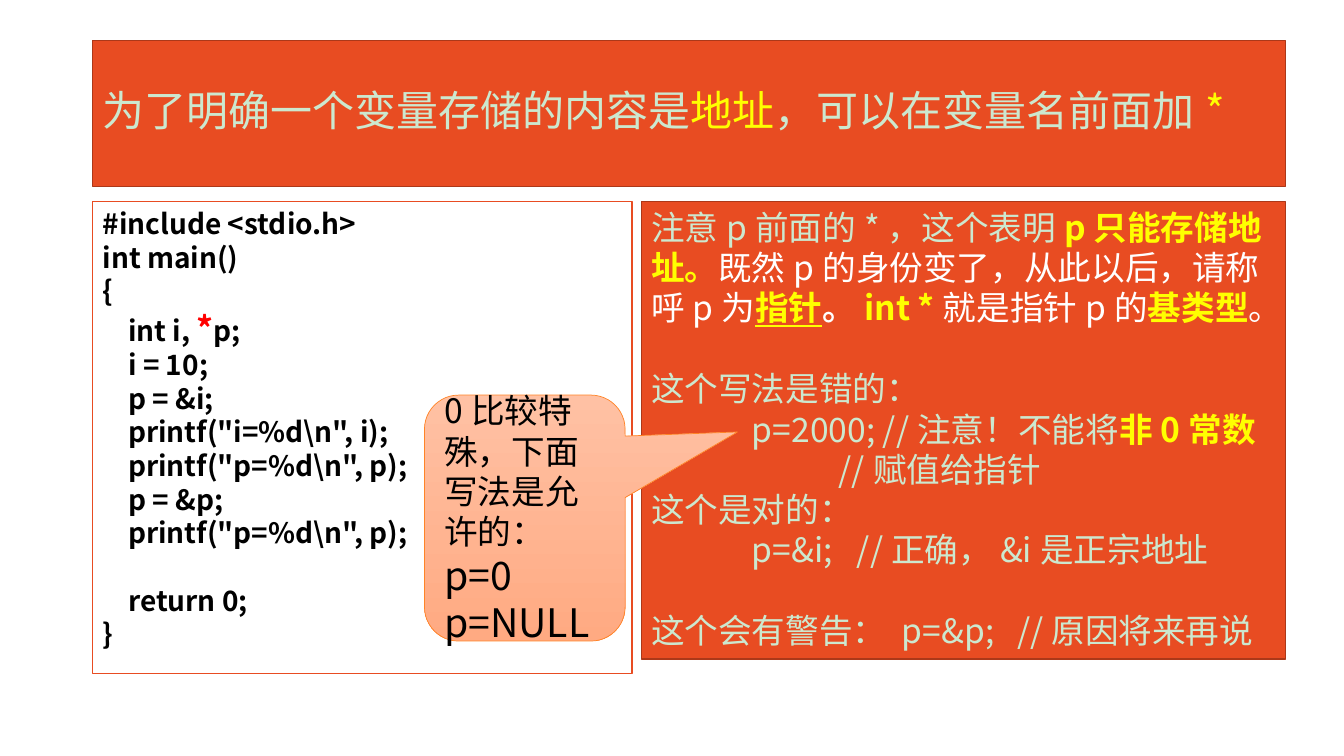
from pptx import Presentation
from pptx.dml.color import RGBColor
from pptx.enum.shapes import MSO_SHAPE as Shape
from pptx.enum.text import MSO_ANCHOR as Anchor, PP_ALIGN as Align
from pptx.oxml.ns import qn
from pptx.util import Inches, Pt
from lxml import etree

FONT = "Noto Sans CJK SC"
COLORS = {
    "orange": "E84C22", "rust": "AC3819", "mint": "CCE8CF", "white": "FFFFFF",
    "yellow": "FFFF00", "red": "FF0000", "black": "000000",
    "peach": "FFC1A4", "salmon": "FFAA82", "amber": "FF8427",
}


def color(name):
    return RGBColor.from_string(COLORS[name])


def write(frame, lines, size, default, bold=False):
    """Fill a frame; a line is (runs, options), a run is (text, run options)."""
    for index, (runs, options) in enumerate(lines):
        paragraph = frame.paragraphs[0] if index == 0 else frame.add_paragraph()
        paragraph.alignment = Align.LEFT
        if "before" in options:
            paragraph.space_before = Pt(options["before"])
        if "tabs" in options:
            tab_list = etree.SubElement(paragraph._p.get_or_add_pPr(), qn("a:tabLst"))
            for stop in options["tabs"]:
                etree.SubElement(tab_list, qn("a:tab"), pos=str(Inches(stop)), algn="l")
        font = paragraph.font
        font.name, font.bold = FONT, bold
        font.size = Pt(options.get("size", size))
        font.color.rgb = color(default)
        etree.SubElement(font._element, qn("a:ea"), typeface=FONT)
        for text, style in runs:
            run = paragraph.add_run()
            run.text = text
            if "color" in style:
                run.font.color.rgb = color(style["color"])
            if "size" in style:
                run.font.size = Pt(style["size"])
            if "bold" in style:
                run.font.bold = style["bold"]
            if "underline" in style:
                run.font.underline = style["underline"]


prs = Presentation()
prs.slide_width, prs.slide_height = Inches(13.33), Inches(7.5)
slide = prs.slides.add_slide(prs.slide_layouts[6])
slide.background.fill.solid()
slide.background.fill.fore_color.rgb = color("white")

panels = []
for kind, box, fill, line, width, anchor in [
    (Shape.RECTANGLE, (0.92, 0.4, 11.83, 1.45), "orange", "rust", 1, Anchor.MIDDLE),
    (Shape.RECTANGLE, (0.92, 2, 5.35, 4.68), "white", "orange", 1, Anchor.TOP),
    (Shape.RECTANGLE, (6.36, 2, 6.39, 4.54), "orange", "rust", 1, Anchor.TOP),
    (Shape.ROUNDED_RECTANGULAR_CALLOUT, (4.21, 3.92, 1.99, 2.44), None, "amber", 0.5,
     Anchor.MIDDLE),
]:
    panel = slide.shapes.add_shape(kind, *map(Inches, box))
    panel.shadow.inherit = False
    if fill:
        panel.fill.solid()
        panel.fill.fore_color.rgb = color(fill)
    panel.line.color.rgb = color(line)
    panel.line.width = Pt(width)
    panel.text_frame.word_wrap = True
    panel.text_frame.vertical_anchor = anchor
    panels.append(panel)
title, code, notes, callout = panels

callout.adjustments[0] = 1.06
callout.adjustments[1] = -0.35
callout.adjustments[2] = 0.17
callout.fill.gradient()
callout.fill.gradient_angle = 270
for stop, shade in zip(callout.fill.gradient_stops, ("peach", "salmon")):
    stop.color.rgb = color(shade)
callout.fill.gradient_stops[0].position = 0
callout.fill.gradient_stops[1].position = 1

yellow = {"color": "yellow"}
key = {"color": "yellow", "bold": True}
white = {"color": "white"}

write(title.text_frame, [([
    ("为了明确一个变量存储的内容是", {}), ("地址", yellow),
    ("，可以在变量名前面加", {}), ("*", yellow),
], {})], 30, "mint")
title.text_frame.paragraphs[0].line_spacing = 0.9

write(code.text_frame, [
    ([("#include <stdio.h>", {})], {}),
    ([("int main()", {})], {}),
    ([("{", {})], {}),
    ([("    int i, ", {}), ("*", {"color": "red", "size": 24}), ("p;", {})], {}),
    ([("    i = 10;", {})], {}),
    ([("    p = &i;", {})], {}),
    ([('    printf("i=%d\\n", i);', {})], {}),
    ([('    printf("p=%d\\n", p);', {})], {}),
    ([("    p = &p;", {})], {}),
    ([('    printf("p=%d\\n", p);', {})], {}),
    ([("    return 0;", {})], {"before": 24}),
    ([("}", {})], {}),
], 20, "black", bold=True)

write(notes.text_frame, [
    ([("注意p前面的*，这个表明", {}), ("p只能存储地址。", key),
      ("既然p的身份变了，从此以后，请称呼p为", white),
      ("指针", {**key, "underline": True}), ("。", {**white, "bold": True}),
      ("int *", key), ("就是指针p的", white), ("基类型", key), ("。", white)], {}),
    ([("这个写法是错的：", {})], {"before": 29}),
    ([("\tp=2000; //注意！不能将", {}), ("非0常数", key)], {"tabs": [1]}),
    ([("\t//赋值给指针", {})], {"tabs": [1.86]}),
    ([("这个是对的：", {})], {}),
    ([("\tp=&i;\t//正确，&i是正宗地址", {})], {"tabs": [1, 2.04]}),
    ([("这个会有警告： p=&p;\t//原因将来再说", {})], {"before": 29, "tabs": [3.63]}),
], 24, "mint")

write(callout.text_frame, [
    ([("0比较特殊，下面写法是允许的：", {})], {}),
    ([("p=0", {})], {"size": 28}),
    ([("p=NULL", {})], {"size": 28}),
], 24, "black")

prs.save("out.pptx")
